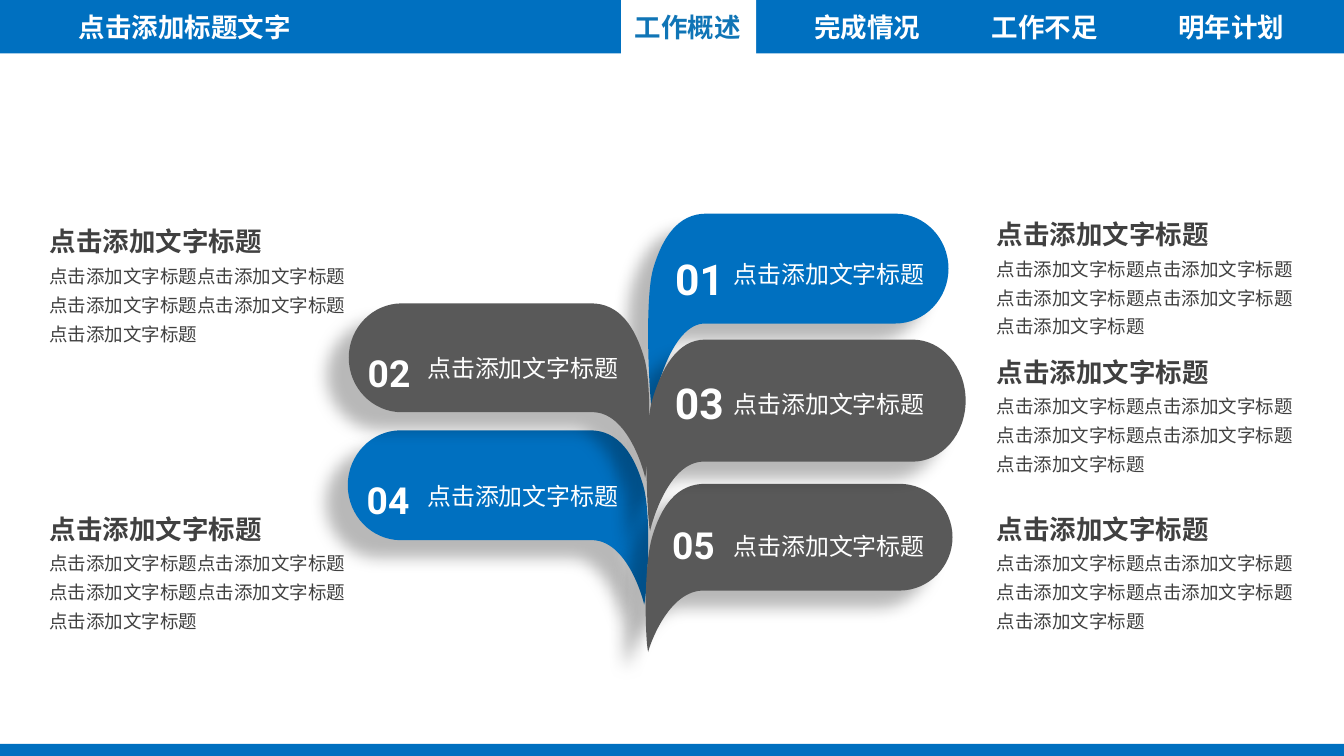
from lxml import etree
from pptx import Presentation
from pptx.dml.color import RGBColor
from pptx.enum import shapes, text
from pptx.oxml import ns
from pptx.util import Pt


class Theme:
    blue = RGBColor(0x00, 0x70, 0xC0)
    active = RGBColor(0x10, 0x75, 0xB6)
    grey = RGBColor(0x59, 0x59, 0x59)
    ink = RGBColor(0x40, 0x40, 0x40)
    white = RGBColor(0xFF, 0xFF, 0xFF)
    font = "Roboto"
    heading = 18.9
    detail = 13.2
    label = 17.1
    number = 26.6
    number_large = 30.4


def write(box, words, size, color, bold=False, align=text.PP_ALIGN.LEFT,
          anchor=text.MSO_ANCHOR.TOP):
    frame = box.text_frame
    frame.text = words
    frame.word_wrap = True
    frame.auto_size = text.MSO_AUTO_SIZE.NONE
    frame.vertical_anchor = anchor
    line = frame.paragraphs[0]
    line.alignment = align
    line.line_spacing = 1.3
    font = line.runs[0].font
    font.name, font.size, font.bold = Theme.font, Pt(size), bold
    font.color.rgb = color


deck = Presentation()
deck.slide_width, deck.slide_height = Pt(960), Pt(540)
slide = deck.slides.add_slide(deck.slide_layouts[5])
canvas = slide.shapes

leaves = [
    (Theme.blue, 463, 466.6, 677.5, 152.6, 231.1, (465.8, 293)),
    (Theme.blue, 463, 459.4, 248.4, 307.4, 385.9, (460.1, 432)),
    (Theme.grey, 460.8, 465.8, 680.4, 345.6, 421.9, (463, 465.8)),
    (Theme.grey, 461.5, 465.8, 689.8, 242.6, 329.8, (464.4, 379.4)),
    (Theme.grey, 463.7, 460.1, 249.1, 216.7, 294.5, (460.8, 341.3)),
]
for color, edge, stem, far, top, bottom, tip in leaves:
    side = 1 if far > stem else -1
    middle = (top + bottom) / 2
    shoulder, cap = stem + 38 * side, far - 38 * side
    bend, rise = 21 * side, (bottom - top) * 0.275
    root, end = (stem, middle), (far, middle)
    outline = [
        ("moveTo", root),
        ("cubicBezTo", (stem + 6.5 * side, middle - 22), (stem + 17.5 * side, top), (shoulder, top)),
        ("lnTo", (cap, top)),
        ("cubicBezTo", (cap + bend, top), (far, middle - rise), end),
        ("cubicBezTo", (far, middle + rise), (cap + bend, bottom), (cap, bottom)),
        ("lnTo", (shoulder, bottom)),
        ("cubicBezTo", (shoulder - 27 * side, bottom - 1.5), (tip[0], tip[1] - 1.5), tip),
        ("cubicBezTo", (tip[0] - 2 * side, tip[1] - 7), (stem - 6.5 * side, middle + 22), root),
        ("close",),
    ]
    left, right = min(edge, far), max(edge, far)
    builder = canvas.build_freeform(Pt(left), Pt(top))
    builder.add_line_segments([(Pt(right), Pt(top)), (Pt(right), Pt(tip[1])),
                               (Pt(left), Pt(tip[1]))])
    leaf = builder.convert_to_shape()
    contour = leaf.element.spPr.find(".//" + ns.qn("a:path"))
    for step in list(contour):
        contour.remove(step)
    for command, *points in outline:
        step = etree.SubElement(contour, ns.qn("a:" + command))
        for x, y in points:
            etree.SubElement(step, ns.qn("a:pt"), x=str(Pt(x - left)), y=str(Pt(y - top)))
    leaf.fill.solid()
    leaf.fill.fore_color.rgb = color
    leaf.line.fill.background()
    leaf.shadow.inherit = False
    effects = leaf.element.spPr.find(ns.qn("a:effectLst"))
    shade = etree.SubElement(effects, ns.qn("a:outerShdw"), blurRad=str(Pt(11.8)),
                             dist=str(Pt(19.7)), dir=str(141 * 60000), algn="ctr", rotWithShape="0")
    black = etree.SubElement(shade, ns.qn("a:srgbClr"), val="000000")
    etree.SubElement(black, ns.qn("a:alpha"), val="28000")

captions = [
    ("01", 475.2, 166.3, Theme.number_large, 517, 175.7),
    ("02", 255.6, 236.9, Theme.number, 298.3, 242.6),
    ("03", 475, 254.9, Theme.number_large, 517, 268.6),
    ("04", 254.9, 328, Theme.number, 298.3, 334.5),
    ("05", 473, 360, Theme.number, 517, 370),
]
for number, left, top, size, label_left, label_top in captions:
    write(canvas.add_textbox(Pt(left), Pt(top), Pt(66), Pt(size * 1.8)),
          number, size, Theme.white, bold=True)
    write(canvas.add_textbox(Pt(label_left), Pt(label_top), Pt(152), Pt(34)),
          "点击添加文字标题", Theme.label, Theme.white)

for left, top in [(28.3, 150.7), (28.3, 355.8), (704.9, 145.5), (704.9, 243.7), (704.9, 355.8)]:
    write(canvas.add_textbox(Pt(left), Pt(top), Pt(176.4), Pt(36.7)),
          "点击添加文字标题", Theme.heading, Theme.ink, bold=True)
    write(canvas.add_textbox(Pt(left), Pt(top + 30.3), Pt(237), Pt(70)),
          "点击添加文字标题" * 5, Theme.detail, Theme.ink)

for left, top, width, height, color in [
    (-1, 531.4, 962, 9.4, Theme.blue),
    (-1, 0, 962, 38.2, Theme.blue),
    (443.7, 0, 96.5, 38.9, Theme.white),
]:
    band = canvas.add_shape(shapes.MSO_SHAPE.RECTANGLE, Pt(left), Pt(top), Pt(width), Pt(height))
    band.fill.solid()
    band.fill.fore_color.rgb = color
    band.line.fill.background()
    band.shadow.inherit = False

title = canvas.title
title.left, title.top, title.width, title.height = Pt(49), Pt(-7), Pt(194.4), Pt(46)
write(title, "点击添加标题文字", Theme.heading, Theme.white, bold=True,
      anchor=text.MSO_ANCHOR.MIDDLE)
title.element.getparent().append(title.element)

for words, left, width, color in [
    ("工作概述", 443.3, 96, Theme.active),
    ("完成情况", 563.2, 113, Theme.white),
    ("工作不足", 689.8, 113, Theme.white),
    ("明年计划", 829.4, 100, Theme.white),
]:
    write(canvas.add_textbox(Pt(left), Pt(-7), Pt(width), Pt(46)), words, Theme.heading, color,
          bold=True, align=text.PP_ALIGN.CENTER, anchor=text.MSO_ANCHOR.MIDDLE)

deck.save("out.pptx")
